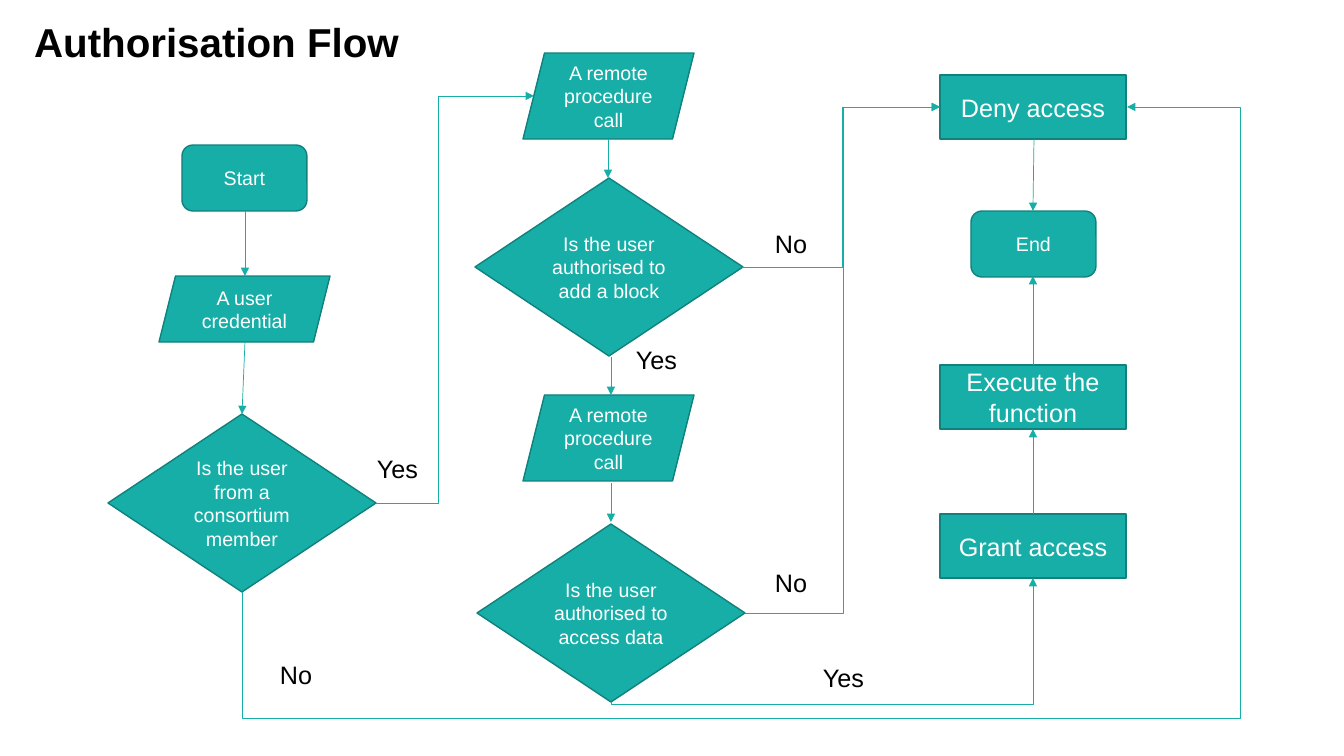
from typing import NamedTuple

from lxml import etree
from pptx import Presentation
from pptx import util as u
from pptx.dml.color import RGBColor
from pptx.enum import shapes, text
from pptx.oxml import ns

SCALE = 914400 / 100.8  # EMU per pixel
TEAL = RGBColor(0x16, 0xAE, 0xA7)
EDGE = RGBColor(0x10, 0x81, 0x7C)
WHITE = RGBColor(255, 255, 255)
BLACK = RGBColor(0, 0, 0)
FONT = "Arial"


class Kind(NamedTuple):
    form: shapes.MSO_SHAPE
    width: int
    height: int
    size: int


class Node(NamedTuple):
    kind: Kind
    left: int
    top: int
    words: str


class Label(NamedTuple):
    left: int
    top: int
    width: int
    words: str


class Route(NamedTuple):
    """An elbow that turns on lanes: the first is across its start direction."""
    start: tuple[int, int]
    end: tuple[int, int]
    lanes: tuple[int, ...]
    down: bool = False  # leaves its node downwards


PILL = Kind(shapes.MSO_SHAPE.ROUNDED_RECTANGLE, 125, 66, 14)
INPUT = Kind(shapes.MSO_SHAPE.PARALLELOGRAM, 171, 66, 14)
CALL = Kind(shapes.MSO_SHAPE.PARALLELOGRAM, 171, 86, 14)
TEST = Kind(shapes.MSO_SHAPE.DIAMOND, 268, 178, 14)
STEP = Kind(shapes.MSO_SHAPE.RECTANGLE, 186, 64, 18)

NODES = [
    Node(TEST, 108, 414, "Is the user from a consortium member"),
    Node(PILL, 182, 145, "Start"),
    Node(INPUT, 159, 276, "A user credential"),
    Node(TEST, 475, 178, "Is the user authorised to add a block"),
    Node(CALL, 523, 53, "A remote procedure call"),
    Node(CALL, 523, 395, "A remote procedure call"),
    Node(TEST, 477, 524, "Is the user authorised to access data"),
    Node(STEP, 940, 75, "Deny access"),
    Node(STEP, 940, 365, "Execute the function"),
    Node(STEP, 940, 514, "Grant access"),
    Node(PILL, 971, 211, "End"),
]
LABELS = [
    Label(270, 654, 60, "No"),
    Label(765, 223, 60, "No"),
    Label(765, 562, 60, "No"),
    Label(367, 448, 89, "Yes"),
    Label(813, 657, 89, "Yes"),
    Label(626, 339, 89, "Yes"),
]
ARROWS = [
    ((245, 211), (245, 276)),
    ((245, 342), (242, 414)),
    ((608, 139), (608, 178)),
    ((611, 357), (611, 395)),
    ((611, 483), (611, 522)),
    ((1034, 139), (1033, 211)),
    ((1033, 514), (1033, 429)),
    ((1033, 365), (1033, 276)),
]
ROUTES = [
    Route((242, 592), (1127, 107), (718, 1240), down=True),
    Route((742, 267), (940, 107), (842,)),
    Route((745, 613), (940, 107), (843,)),
    Route((376, 503), (534, 96), (438,)),
    Route((611, 702), (1033, 578), (704,), down=True),
]


def px(value: float) -> u.Emu:
    return u.Emu(round(value * SCALE))


def style(para, size: float, color: RGBColor, bold: bool = False) -> None:
    font = para.font
    font.name, font.size, font.bold = FONT, u.Pt(size), bold
    font.color.rgb = color


def draw_node(slide, node: Node) -> None:
    kind = node.kind
    box = slide.shapes.add_shape(
        kind.form, *map(px, (node.left, node.top, kind.width, kind.height)))
    box.shadow.inherit = False
    box.fill.solid()
    box.fill.fore_color.rgb = TEAL
    box.line.color.rgb = EDGE
    box.line.width = u.Pt(1)
    frame = box.text_frame
    frame.word_wrap = True
    frame.vertical_anchor = text.MSO_ANCHOR.MIDDLE
    frame.text = node.words
    para = frame.paragraphs[0]
    para.alignment = text.PP_ALIGN.CENTER
    style(para, kind.size, WHITE)


def draw_label(slide, label: Label) -> None:
    box = slide.shapes.add_textbox(
        *map(px, (label.left, label.top, label.width, 40)))
    frame = box.text_frame
    frame.word_wrap = True
    frame.auto_size = text.MSO_AUTO_SIZE.SHAPE_TO_FIT_TEXT
    frame.text = label.words
    style(frame.paragraphs[0], 18, BLACK)


def draw_line(slide, form, start, end):
    line = slide.shapes.add_connector(form, *map(px, (*start, *end)))
    line.line.color.rgb = TEAL
    line.line.width = u.Pt(0.5)
    tail = etree.SubElement(line.line._get_or_add_ln(), ns.qn("a:tailEnd"))
    tail.set("type", "triangle")
    etree.SubElement(line._element.spPr, ns.qn("a:effectLst"))
    return line


def draw_route(slide, route: Route) -> None:
    (x1, y1), (x2, y2) = start, end = route.start, route.end
    if route.down:
        # A quarter turn about the centre swaps width and height
        mx, my = (x1 + x2) / 2, (y1 + y2) / 2
        dx, dy = (x2 - x1) / 2, (y1 - y2) / 2
        start, end = (mx + dy, my + dx), (mx - dy, my - dx)
    line = draw_line(slide, shapes.MSO_CONNECTOR.ELBOW, start, end)
    props = line._element.spPr
    if route.down:
        props.find(ns.qn("a:xfrm")).set("rot", "5400000")
    geom = props.find(ns.qn("a:prstGeom"))
    geom.set("prst", f"bentConnector{len(route.lanes) + 2}")
    guides = geom.find(ns.qn("a:avLst"))
    spans = [(x1, x2), (y1, y2)]
    if route.down:
        spans.reverse()
    for i, (lane, (a, b)) in enumerate(zip(route.lanes, spans), 1):
        guide = etree.SubElement(guides, ns.qn("a:gd"))
        guide.set("name", f"adj{i}")
        guide.set("fmla", f"val {round((lane - a) / (b - a) * 100000)}")


def draw_title(slide, words: str) -> None:
    title = slide.shapes.title
    title.left, title.top, title.width, title.height = map(
        px, (24, 18, 491, 39))
    frame = title.text_frame
    frame.text = words
    frame.word_wrap = True
    frame.auto_size = text.MSO_AUTO_SIZE.NONE
    frame.vertical_anchor = text.MSO_ANCHOR.TOP
    para = frame.paragraphs[0]
    para.alignment = text.PP_ALIGN.LEFT
    para.line_spacing = 0.9
    style(para, 28.8, BLACK, bold=True)


def main() -> None:
    deck = Presentation()
    deck.slide_width, deck.slide_height = px(1344), px(756)
    slide = deck.slides.add_slide(deck.slide_layouts[5])
    # Flow chart
    for node in NODES:
        draw_node(slide, node)
    for route in ROUTES:
        draw_route(slide, route)
    for start, end in ARROWS:
        draw_line(slide, shapes.MSO_CONNECTOR.STRAIGHT, start, end)
    for label in LABELS:
        draw_label(slide, label)
    # Heading
    draw_title(slide, "Authorisation Flow")
    deck.save("out.pptx")


main()
